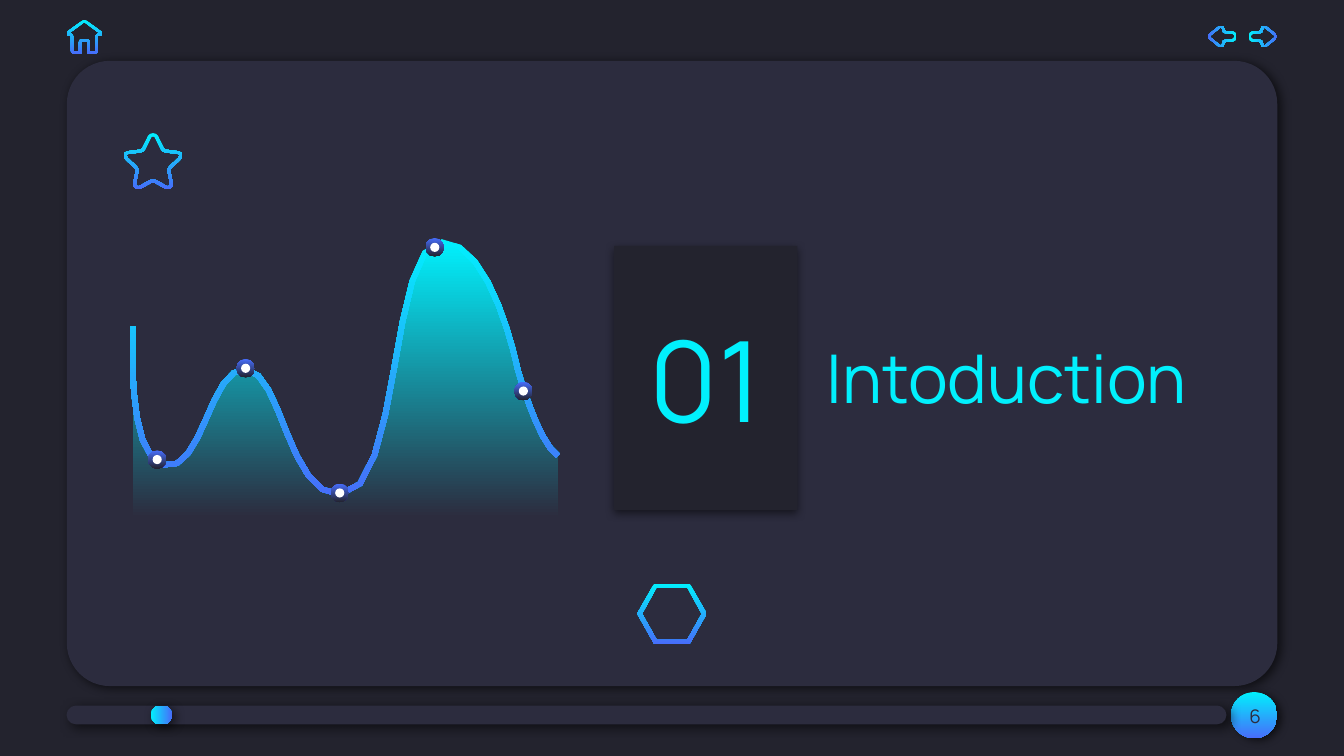
import math
from dataclasses import dataclass
from typing import NamedTuple, Optional

from lxml import etree
from pptx import Presentation
from pptx.dml.color import RGBColor
from pptx.enum.shapes import MSO_SHAPE
from pptx.enum.text import MSO_ANCHOR, PP_ALIGN
from pptx.oxml.ns import qn
from pptx.util import Pt

ROUNDED = MSO_SHAPE.ROUNDED_RECTANGLE
RECT = MSO_SHAPE.RECTANGLE
OVAL = MSO_SHAPE.OVAL
MIDDLE = MSO_ANCHOR.MIDDLE
CENTER = PP_ALIGN.CENTER

NIGHT, SLATE, CYAN, BLUE, WHITE = "23232E", "2C2C3E", "01F0FD", "476DFA", "FFFFFF"
GLOW = (CYAN, BLUE)
FONT = "Manrope"
FRAME_FORMAT = {
    "word_wrap": True, "vertical_anchor": MIDDLE,
    "margin_left": Pt(7.2), "margin_right": Pt(7.2),
    "margin_top": Pt(7.2), "margin_bottom": Pt(7.2),
}


class Shadow(NamedTuple):
    alpha: int
    blur: float
    distance: float
    angle: int


@dataclass
class Block:
    kind: int
    left: float
    top: float
    width: float
    height: float
    fill: object
    shadow: Optional[Shadow] = None
    adjust: Optional[float] = None
    rotation: int = 0


@dataclass
class Icon:
    """Right half of a ring, in points from the top of its mirror axis."""
    outer: str
    inner: str


# Outlines: start point, then L (line) or C (Bezier) segments
STAR = Icon(
    "M 0 0 C 1.2 0 2.1 .6 2.5 1.5 L 5.7 8 C 6 8.5 6.4 8.8 6.9 8.9 L 13.4 9.7 "
    "C 15 9.9 15.4 10.7 15.6 11.4 C 16 12.5 15.5 13.5 14.8 14.2 L 9.8 18.9 "
    "C 9.4 19.3 9.2 19.8 9.3 20.4 L 10.6 27 C 10.8 28 10.4 29 9.6 29.5 "
    "C 8.6 30.1 7.4 30.1 6.5 29.7 L 1 26.7 L 0 26.4",
    "M 0 1.7 C .6 1.7 .9 2 1.1 2.3 L 4.2 8.6 C 4.7 9.6 5.5 10.2 6.6 10.4 L 13.2 11.2 "
    "C 13.8 11.3 14 11.6 14.1 11.9 L 13.7 13.1 L 8.7 17.8 "
    "C 7.9 18.6 7.6 19.5 7.8 20.6 L 9.1 27.2 L 8.7 28.3 "
    "L 7.9 28.5 L 7.2 28.3 L 1.6 25.2 L 0 24.9")
ARROW = Icon(
    "M 0 0 L .7 0 C 1.8 0 2.8 1 2.8 2.2 L 2.8 5.6 L 3.6 6.5 L 4 6.5 "
    "C 5 6.5 5.6 7.1 5.8 7.7 C 6 8.4 5.8 9 5.4 9.5 L 1.6 14.2 C 1.2 14.8 .6 15.1 0 15.1",
    "M 0 1.2 L .6 1.2 L 1.6 2.2 L 1.6 5.6 C 1.6 6.9 2.4 7.7 3.6 7.7 "
    "L 4 7.7 L 4.7 8.2 L 4.5 8.9 L .7 13.6 L 0 13.9")
HOUSE = Icon(
    "M 0 0 L 1 .3 L 9 6.2 C 9.5 6.6 9.7 7.1 9.5 7.6 C 9.4 8.1 9 8.4 8.4 8.4 "
    "L 7.2 8.4 L 7.2 16.6 C 7.2 17.4 6.6 18 5.8 18 L 1.7 18 L 1.7 11.6 L 0 11.6",
    "M 0 1.2 L 8.4 7.3 L 7.4 7.3 C 6.6 7.3 6 7.9 6 8.7 L 6 16.8 "
    "L 2.9 16.8 L 2.9 11.9 C 2.9 11 2.3 10.4 1.4 10.4 L 0 10.4")
HEXAGON = Icon("M 0 0 L 9.5 0 L 18.6 16.1 L 9.5 32.2 L 0 32.2",
               "M 0 2.1 L 8.2 2.1 L 16 16.1 L 8.2 30.1 L 0 30.1")
WAVE = ("M 71.3 175 C 71.3 175 67 244.8 87.8 249.1 C 108.7 254.2 112.3 195.8 131.8 198 "
        "C 151.2 199.4 154.1 265 182.2 265 C 215.3 265 208.1 129.6 236.9 129.6 "
        "C 263.5 129.6 277.2 197.3 277.2 197.3 C 277.2 197.3 288 236.9 298.8 244.1")
WAVE_BASE = 277.2
WAVE_WEIGHT = 2.9
WAVE_STEPS, ICON_STEPS = 8, 2
MARKERS = [(84.2, 246.2), (131.6, 197.3), (182, 264.1), (232.9, 132.5), (280.4, 209.5)]


def colour(value: str) -> RGBColor:
    return RGBColor.from_string(value)


def paint(shape, fill) -> None:
    """Fill with one colour, or with a pair that runs from top to bottom."""
    shape.shadow.inherit = False
    shape.line.fill.background()
    if isinstance(fill, str):
        shape.fill.solid()
        shape.fill.fore_color.rgb = colour(fill)
        return
    shape.fill.gradient()
    shape.fill.gradient_angle = 270
    for stop, value in zip(shape.fill.gradient_stops, fill):
        stop.color.rgb = colour(value)


def cast_shadow(shape, shadow: Shadow) -> None:
    effects = shape._element.spPr.find(qn("a:effectLst"))
    outer = etree.SubElement(
        effects, qn("a:outerShdw"), blurRad=str(Pt(shadow.blur)), dist=str(Pt(shadow.distance)),
        dir=str(shadow.angle * 60000), algn="bl", rotWithShape="0")
    black = etree.SubElement(outer, qn("a:srgbClr"), val="000000")
    etree.SubElement(black, qn("a:alpha"), val=str(shadow.alpha * 1000))


def add_block(shapes, block: Block):
    shape = shapes.add_shape(block.kind, Pt(block.left), Pt(block.top),
                             Pt(block.width), Pt(block.height))
    paint(shape, block.fill)
    if block.adjust is not None:
        shape.adjustments[0] = block.adjust
    if block.shadow:
        cast_shadow(shape, block.shadow)
    shape.rotation = block.rotation
    return shape


def write(shape, text: str, size: float, value: str) -> None:
    for name, setting in FRAME_FORMAT.items():
        setattr(shape.text_frame, name, setting)
    paragraph = shape.text_frame.paragraphs[0]
    paragraph.alignment = CENTER
    run = paragraph.add_run()
    run.text = text
    run.font.name, run.font.size = FONT, Pt(size)
    run.font.color.rgb = colour(value)


def trace(outline: str, steps: int) -> list:
    """Turn an outline into points, with its curves sampled."""
    points = []
    for segment in outline.replace("L", "|").replace("C", "|").strip("M ").split("|"):
        numbers = [float(number) for number in segment.split()]
        knots = list(zip(numbers[::2], numbers[1::2]))
        if len(knots) == 1:
            points += knots
            continue
        knots.insert(0, points[-1])
        for step in range(1, steps + 1):
            t = step / steps
            weights = [math.comb(3, i) * t**i * (1 - t)**(3 - i) for i in range(4)]
            points.append(tuple(sum(w * knot[axis] for w, knot in zip(weights, knots))
                                for axis in (0, 1)))
    return points


def ribbon(points: list, weight: float) -> list:
    """Outline of a band of even weight along the points."""
    left, right = [], []
    last = len(points) - 1
    for i, (x, y) in enumerate(points):
        (x0, y0), (x1, y1) = points[max(i - 1, 0)], points[min(i + 1, last)]
        reach = weight / 2 / math.hypot(x1 - x0, y1 - y0)
        dx, dy = (y0 - y1) * reach, (x1 - x0) * reach
        left.append((x + dx, y + dy))
        right.append((x - dx, y - dy))
    return left + right[::-1]


def add_outline(shapes, contours: list, fill):
    scaled = [[(Pt(x), Pt(y)) for x, y in contour] for contour in contours]
    builder = shapes.build_freeform(*scaled[0][0], scale=1.0)
    builder.add_line_segments(scaled[0][1:], close=True)
    for contour in scaled[1:]:
        builder.move_to(*contour[0])
        builder.add_line_segments(contour[1:], close=True)
    shape = builder.convert_to_shape()
    paint(shape, fill)
    return shape


def add_icon(shapes, icon: Icon, axis: float, top: float, rotation: int = 0) -> None:
    contours = []
    for outline in (icon.outer, icon.inner):
        half = trace(outline, ICON_STEPS)
        contours.append([(axis + x, top + y) for x, y in half]
                        + [(axis - x, top + y) for x, y in reversed(half) if x])
    add_outline(shapes, contours, GLOW).rotation = rotation


def main() -> None:
    deck = Presentation()
    deck.slide_width, deck.slide_height = Pt(720), Pt(405)
    slide = deck.slides.add_slide(deck.slide_layouts[6])
    slide.background.fill.solid()
    slide.background.fill.fore_color.rgb = colour(NIGHT)
    shapes = slide.shapes
    soft = Shadow(60, 5.6, 2.2, 33)

    # Panel, page number and progress track
    add_block(shapes, Block(ROUNDED, 35.8, 32.6, 648.5, 335, SLATE, soft, 0.069))
    add_block(shapes, Block(OVAL, 659.5, 370.8, 24.7, 24.7, GLOW, Shadow(60, 4.5, 2.2, 33)))
    page_number = shapes.add_textbox(Pt(650.9), Pt(368), Pt(43.2), Pt(31))
    write(page_number, "6", 10, SLATE)
    add_block(shapes, Block(ROUNDED, 341.3, 72.3, 10.1, 621.4, SLATE, soft, 0.5, 270))

    # Section title and number
    section_title = shapes.add_textbox(Pt(426), Pt(154.1), Pt(226.8), Pt(95.8))
    write(section_title, "Intoduction", 36, CYAN)
    section_number = add_block(shapes, Block(RECT, 329, 131.8, 98.2, 141.4, NIGHT,
                                             Shadow(50, 4.5, 1.5, 90)))
    write(section_number, "01", 60, CYAN)

    # Star and navigation arrows
    add_icon(shapes, STAR, 82, 71.3)
    add_icon(shapes, ARROW, 676.5, 12, 270)
    add_icon(shapes, ARROW, 654.8, 12, 90)

    # Wave with its markers
    wave = shapes.add_group_shape().shapes
    crest = trace(WAVE, WAVE_STEPS)
    base = [(crest[-1][0], WAVE_BASE), (crest[0][0], WAVE_BASE)]
    add_outline(wave, [crest + base], (CYAN, SLATE))
    add_outline(wave, [ribbon(crest, WAVE_WEIGHT)], GLOW)
    for x, y in MARKERS:
        for radius, fill in ((4.9, (BLUE, NIGHT)), (2.45, WHITE)):
            add_block(wave, Block(OVAL, x - radius, y - radius, 2 * radius, 2 * radius, fill))

    # Progress knob, home and hexagon
    add_block(shapes, Block(ROUNDED, 81.4, 377.3, 10.1, 11.5, GLOW, soft, 0.5, 270))
    add_icon(shapes, HOUSE, 45.2, 10.7)
    add_icon(shapes, HEXAGON, 360, 312.7)

    deck.save("out.pptx")


if __name__ == "__main__":
    main()
